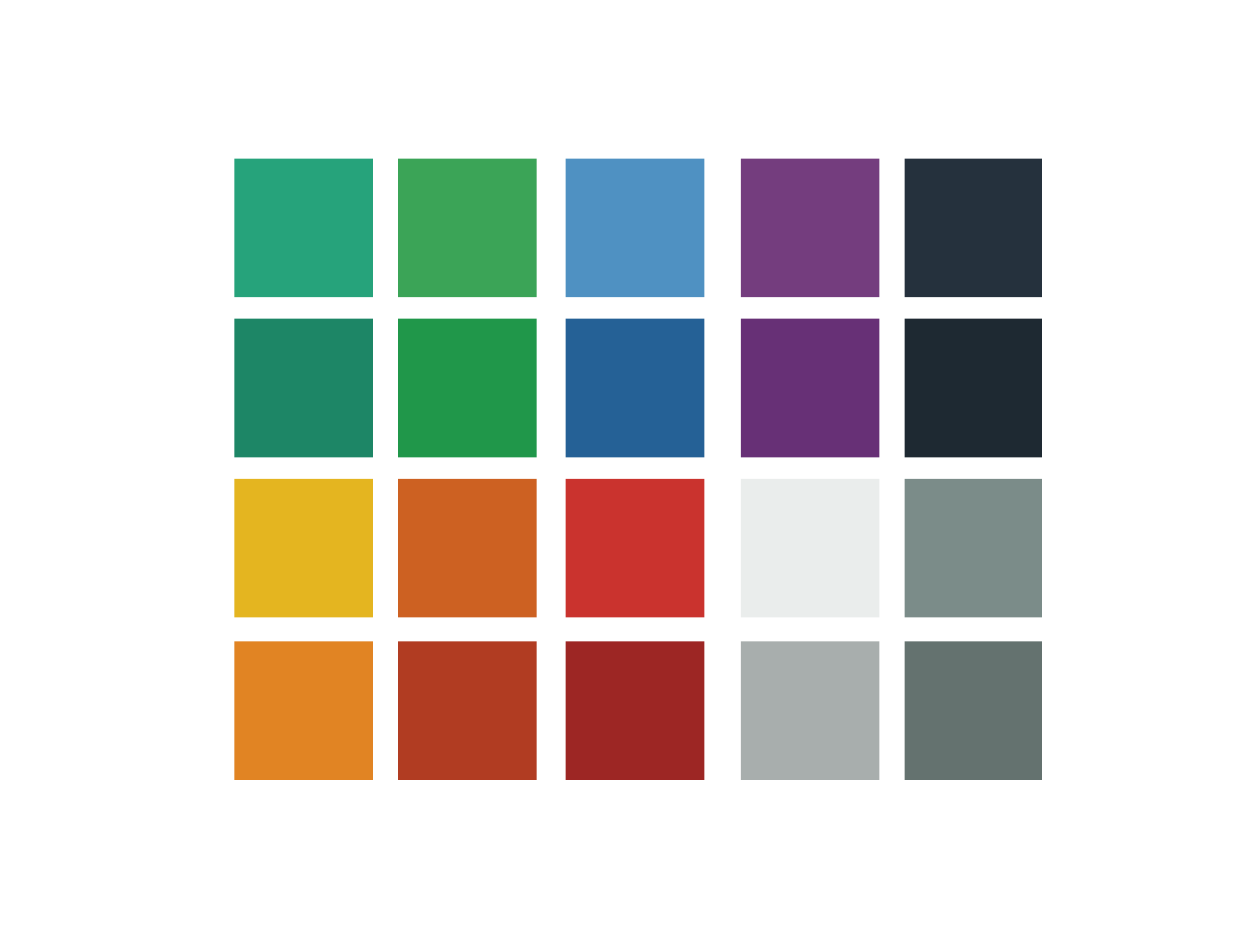
from pptx import Presentation
from pptx.dml.color import RGBColor as RGB
from pptx.enum.shapes import MSO_SHAPE as Shape
from pptx.util import Inches

TEAL, DARK_TEAL = RGB(0x26, 0xA3, 0x7B), RGB(0x1D, 0x86, 0x66)
GREEN, DARK_GREEN = RGB(0x3B, 0xA4, 0x57), RGB(0x20, 0x97, 0x4A)
BLUE, DARK_BLUE = RGB(0x4F, 0x91, 0xC2), RGB(0x25, 0x61, 0x96)
PURPLE, DARK_PURPLE = RGB(0x74, 0x3D, 0x7E), RGB(0x67, 0x30, 0x76)
NAVY, DARK_NAVY = RGB(0x25, 0x31, 0x3D), RGB(0x1E, 0x29, 0x32)
YELLOW, AMBER = RGB(0xE4, 0xB5, 0x20), RGB(0xE1, 0x84, 0x23)
ORANGE, RUST = RGB(0xCD, 0x61, 0x22), RGB(0xB1, 0x3C, 0x22)
RED, DARK_RED = RGB(0xCA, 0x33, 0x2E), RGB(0x9D, 0x26, 0x24)
PALE, SILVER = RGB(0xEA, 0xED, 0xEC), RGB(0xA8, 0xAE, 0xAD)
GREY, DARK_GREY = RGB(0x7B, 0x8C, 0x89), RGB(0x64, 0x72, 0x6F)

PAGE = {"slide_width": Inches(10), "slide_height": Inches(7.5)}
SIDE = 1.1
# Left edge and width of each column; the last one is slightly narrower.
COLS = [(1.86, SIDE), (3.16, SIDE), (4.49, SIDE), (5.88, SIDE), (7.18, 1.09)]
# Top edge and colours of each row.
ROWS = [
    (1.26, [TEAL, GREEN, BLUE, PURPLE, NAVY]),
    (2.53, [DARK_TEAL, DARK_GREEN, DARK_BLUE, DARK_PURPLE, DARK_NAVY]),
    (3.8, [YELLOW, ORANGE, RED, PALE, GREY]),
    (5.09, [AMBER, RUST, DARK_RED, SILVER, DARK_GREY]),
]


def apply(item, form):
    """Set each attribute named in form on item."""
    for name, value in form.items():
        setattr(item, name, value)


def add_swatch(slide, left, top, width, color):
    """Add one flat swatch without outline or shadow."""
    box = [Inches(n) for n in (left, top, width, SIDE)]
    swatch = slide.shapes.add_shape(Shape.RECTANGLE, *box)
    swatch.fill.solid()
    apply(swatch.fill.fore_color, {"rgb": color})
    apply(swatch.shadow, {"inherit": False})
    swatch.line.fill.background()


def add_grid(slide):
    """Add the palette row by row."""
    for top, colors in ROWS:
        for (left, width), color in zip(COLS, colors):
            add_swatch(slide, left, top, width, color)


def main():
    """Build and save the palette slide."""
    deck = Presentation()
    apply(deck, PAGE)
    add_grid(deck.slides.add_slide(deck.slide_layouts[6]))
    deck.save("out.pptx")


main()
